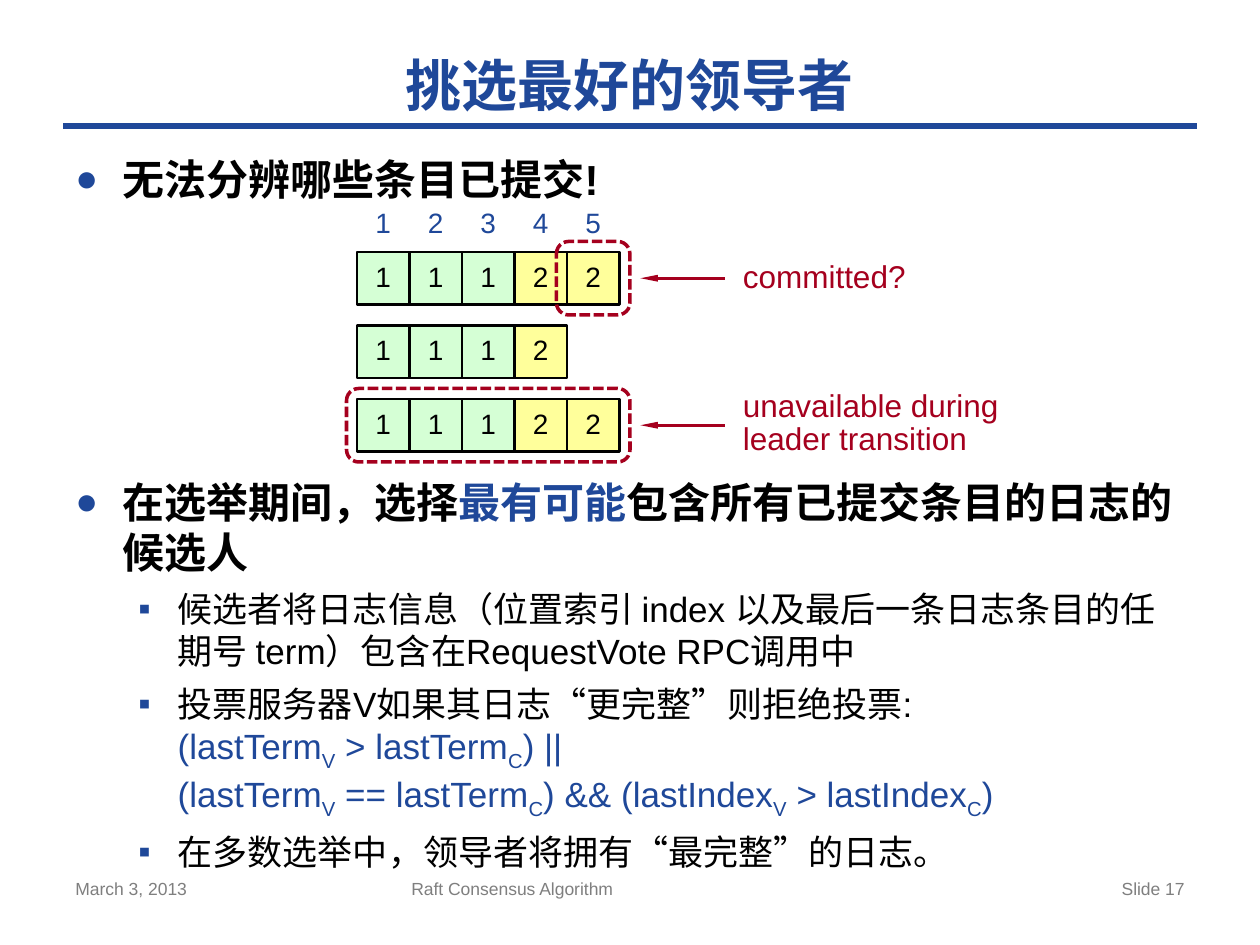
from lxml.etree import SubElement
from pptx import Presentation
from pptx.dml.color import RGBColor
from pptx.enum.dml import MSO_LINE
from pptx.enum.shapes import MSO_CONNECTOR, MSO_SHAPE
from pptx.enum.text import MSO_ANCHOR, PP_ALIGN
from pptx.oxml.ns import qn
from pptx.util import Pt

COLORS = {"blue": "1F4899", "red": "A5001E", "black": "000000", "gray": "7F7F7F",
          "green": "D5FFD5", "yellow": "FFFF9B"}


def rgb(name):
    return RGBColor.from_string(COLORS[name])


class SlideBuilder:
    def __init__(self, slide, font="Arial"):
        self.slide = slide
        self.font = font

    def style(self, para, size, color, bold=False, align=PP_ALIGN.LEFT, font=None):
        para.alignment = align
        para.font.size = Pt(size)
        para.font.name = font or self.font
        para.font.bold = bold
        para.font.color.rgb = rgb(color)

    def frame(self, left, top, width, height, inset=True):
        box = self.slide.shapes.add_textbox(Pt(left), Pt(top), Pt(width), Pt(height))
        frame = box.text_frame
        frame.word_wrap = True
        if not inset:
            self.clear_insets(frame)
        return frame

    def clear_insets(self, frame):
        frame.margin_left = frame.margin_right = frame.margin_top = frame.margin_bottom = 0

    def text(self, words, left, top, width, height, size, color, inset=True,
             spacing=None, anchor=MSO_ANCHOR.TOP, **style):
        frame = self.frame(left, top, width, height, inset)
        frame.vertical_anchor = anchor
        para = frame.paragraphs[0]
        para.text = words
        if spacing:
            para.line_spacing = Pt(spacing)
        self.style(para, size, color, **style)

    def bullet(self, para, pieces, level, before):
        """Each piece is (text, color, subscript); a line feed breaks the line."""
        size, indent, hanging, char, scale = [(24, 27, 27, "●", 90), (20, 58.5, 22.5, "▪", 100)][level]
        self.style(para, size, "black", bold=level == 0)
        para.level = level
        para.space_before = Pt(before)
        props = para._p.get_or_add_pPr()
        props.set("marL", str(Pt(indent)))
        props.set("indent", str(-Pt(hanging)))
        marks = [SubElement(props, qn("a:buClr")), SubElement(props, qn("a:buSzPct")),
                 SubElement(props, qn("a:buFont")), SubElement(props, qn("a:buChar"))]
        SubElement(marks[0], qn("a:srgbClr")).set("val", COLORS["blue"])
        marks[1].set("val", str(scale * 1000))
        marks[2].set("typeface", self.font)
        marks[3].set("char", char)
        props.append(props.find(qn("a:defRPr")))
        for words, color, subscript in pieces:
            for number, line in enumerate(words.split("\n")):
                if number:
                    para.add_line_break()
                if line:
                    span = para.add_run()
                    span.text = line
                    span.font.color.rgb = rgb(color)
                    if subscript:
                        span.font._element.set("baseline", "-25000")

    def cell(self, words, left, top, side, fill):
        box = self.slide.shapes.add_shape(MSO_SHAPE.RECTANGLE, Pt(left), Pt(top), Pt(side), Pt(side))
        box.shadow.inherit = False
        box.fill.solid()
        box.fill.fore_color.rgb = rgb(fill)
        box.line.color.rgb = rgb("black")
        box.line.width = Pt(1.5)
        frame = box.text_frame
        self.clear_insets(frame)
        frame.vertical_anchor = MSO_ANCHOR.MIDDLE
        para = frame.paragraphs[0]
        para.text = words
        para.line_spacing = Pt(17)
        self.style(para, 16, "black", align=PP_ALIGN.CENTER)

    def dashed_frame(self, left, top, width, height):
        box = self.slide.shapes.add_shape(MSO_SHAPE.ROUNDED_RECTANGLE, Pt(left), Pt(top),
                                          Pt(width), Pt(height))
        box.shadow.inherit = False
        box.fill.background()
        box.line.color.rgb = rgb("red")
        box.line.width = Pt(2)
        box.line.dash_style = MSO_LINE.SQUARE_DOT

    def line(self, start, end, y, color, width, arrow=False):
        line = self.slide.shapes.add_connector(MSO_CONNECTOR.STRAIGHT, Pt(start), Pt(y), Pt(end), Pt(y))
        line.line.color.rgb = rgb(color)
        line.line.width = Pt(width)
        if arrow:
            head = SubElement(line.line._get_or_add_ln(), qn("a:tailEnd"))
            head.set("type", "triangle")
            head.set("w", "sm")
            head.set("len", "lg")
        SubElement(line._element.spPr, qn("a:effectLst"))


deck = Presentation()
deck.slide_width, deck.slide_height = Pt(720), Pt(540)
page = SlideBuilder(deck.slides.add_slide(deck.slide_layouts[6]))

# Title and rule
page.line(36, 684, 72, "blue", 4)
page.text("挑选最好的领导者", 36, 24, 648, 48, 32, "blue", anchor=MSO_ANCHOR.MIDDLE,
          bold=True, align=PP_ALIGN.CENTER, font="Open Sans")

# Bullets; the wide gap before the second one holds the log diagram
formula = [(words, "blue", words in ("V", "C")) for words in (
    "(lastTerm", "V", " > lastTerm", "C", ") ||\n(lastTerm", "V", " == lastTerm", "C",
    ") && (lastIndex", "V", " > lastIndex", "C", ")")]
bullets = [
    (0, 12, [("无法分辨哪些条目已提交!", "black", False)]),
    (0, 156, [("在选举期间，选择", "black", False), ("最有可能", "blue", False),
              ("包含所有已提交条目的日志的候选人", "black", False)]),
    (1, 6, [("候选者将日志信息（位置索引 index 以及最后一条日志条目的任期号 term）"
             "包含在RequestVote RPC调用中", "black", False)]),
    (1, 6, [("投票服务器V如果其日志“更完整”则拒绝投票:\n", "black", False)] + formula),
    (1, 6, [("在多数选举中，领导者将拥有“最完整”的日志。", "black", False)]),
]
body = page.frame(36, 84, 648, 398)
for number, (level, before, pieces) in enumerate(bullets):
    para = body.add_paragraph() if number else body.paragraphs[0]
    page.bullet(para, pieces, level, before)

# Footer
page.text("March 3, 2013", 36, 498, 168, 31, 10, "gray")
page.text("Raft Consensus Algorithm", 228, 498, 270, 31, 10, "gray")
page.text("Slide 17", 516, 498, 168, 31, 10, "gray", align=PP_ALIGN.RIGHT)

# Logs: one row per server, one cell per entry
SIDE, LEFT, TOP, PITCH, MARGIN = 30, 204, 144, 42, 6
for column in range(5):
    page.text(str(column + 1), LEFT + column * SIDE, 114, SIDE, 26.5, 16, "blue",
              align=PP_ALIGN.CENTER)
for row, terms in enumerate(("11122", "1112", "11122")):
    for column, term in enumerate(terms):
        page.cell(term, LEFT + column * SIDE, TOP + row * PITCH, SIDE,
                  "green" if term == "1" else "yellow")

# Marked entries with their notes
for row, first, words, top, width, height in (
        (0, 4, "committed?", 149.5, 144, 19),
        (2, 0, "unavailable during leader transition", 223, 199.5, 38)):
    row_top = TOP + row * PITCH
    page.dashed_frame(LEFT + first * SIDE - MARGIN, row_top - MARGIN,
                      (5 - first) * SIDE + 2 * MARGIN, SIDE + 2 * MARGIN)
    page.line(414, 366, row_top + SIDE / 2, "red", 1.5, arrow=True)
    page.text(words, 424.5, top, width, height, 18, "red", inset=False, spacing=19)

deck.save("out.pptx")
